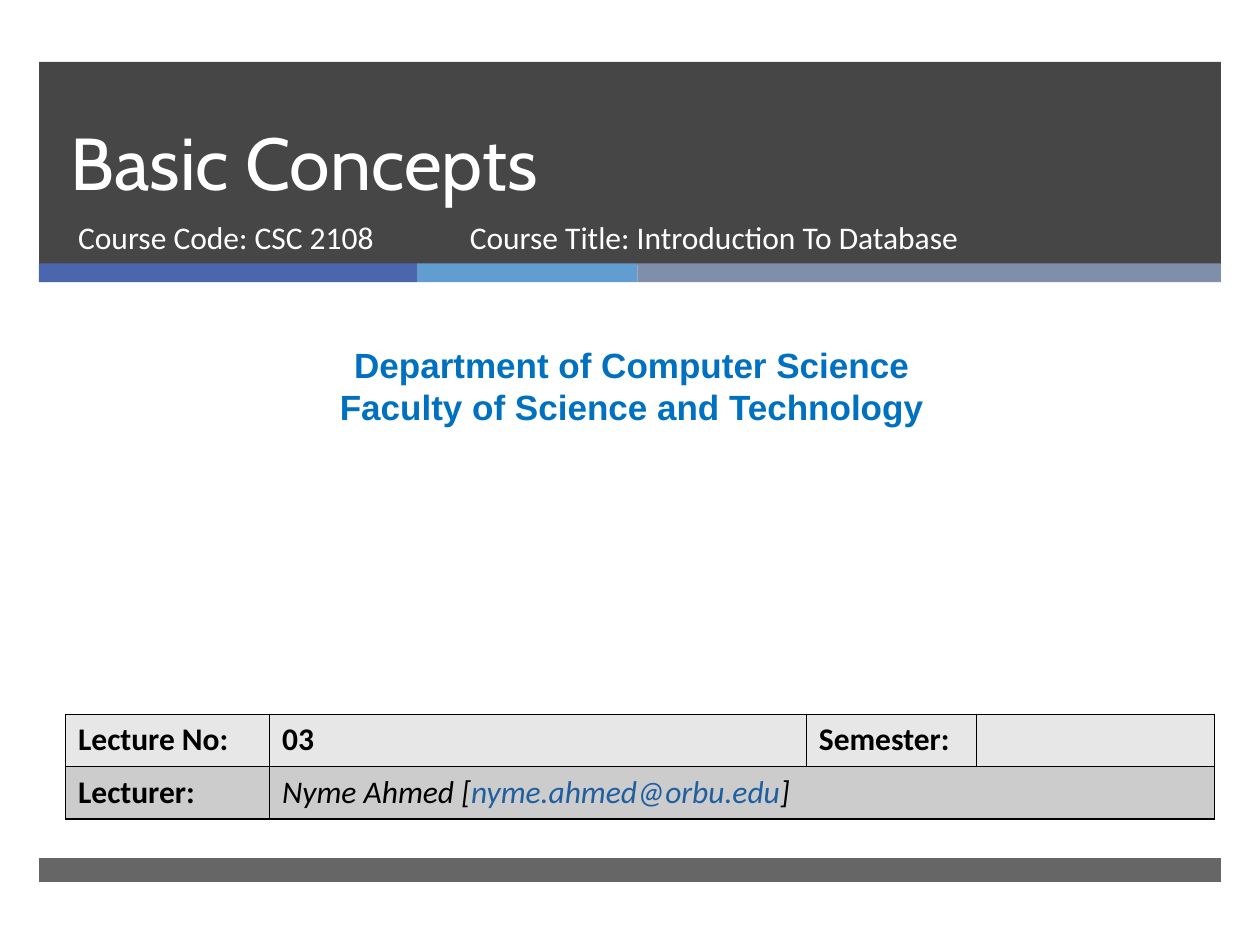
"""Build the cover slide of a database lecture."""
import lxml.etree
import pptx
import pptx.dml.color
import pptx.enum.shapes
import pptx.enum.text
import pptx.oxml.ns
import pptx.util

Inches = pptx.util.Inches
Pt = pptx.util.Pt
RGB = pptx.dml.color.RGBColor
Align = pptx.enum.text.PP_ALIGN
Anchor = pptx.enum.text.MSO_ANCHOR
qn = pptx.oxml.ns.qn

WHITE = RGB(0xFF, 0xFF, 0xFF)
BLACK = RGB(0x00, 0x00, 0x00)
DARK = RGB(0x26, 0x26, 0x26)
NAVY = RGB(0x4A, 0x66, 0xAC)
SKY = RGB(0x62, 0x9D, 0xD1)
SLATE = RGB(0x7F, 0x8F, 0xA9)
BLUE = RGB(0x00, 0x70, 0xC0)
LINK = RGB(0x1F, 0x5F, 0xA0)
PALE = RGB(0xE7, 0xE7, 0xE7)
GREY = RGB(0xCC, 0xCC, 0xCC)


def write(para, text, size=18, font="Calibri", color=WHITE, bold=False,
          italic=False, align=Align.LEFT):
    run = para.add_run()
    run.text = text
    run.font.size = Pt(size)
    run.font.name = font
    run.font.color.rgb = color
    run.font.bold = bold
    run.font.italic = italic
    para.alignment = align


class Deck:
    def __init__(self):
        self.prs = pptx.Presentation()
        self.prs.slide_width = Inches(10)
        self.prs.slide_height = Inches(7.5)
        self.slide = self.prs.slides.add_slide(self.prs.slide_layouts[0])
        self.shapes = self.slide.shapes

    def bar(self, left, top, width, height, color, alpha=100):
        kind = pptx.enum.shapes.MSO_SHAPE.RECTANGLE
        bar = self.shapes.add_shape(
            kind, Inches(left), Inches(top), Inches(width), Inches(height))
        bar.shadow.inherit = False
        bar.line.fill.background()
        bar.fill.solid()
        bar.fill.fore_color.rgb = color
        if alpha < 100:
            tint = bar.element.spPr.find(qn("a:solidFill"))[0]
            lxml.etree.SubElement(tint, qn("a:alpha"), val=str(alpha * 1000))

    def holder(self, index, text, box, anchor=Anchor.TOP, lead=None, **style):
        shape = self.slide.placeholders[index]
        shape.left, shape.top, shape.width, shape.height = map(Inches, box)
        shape.element.getparent().append(shape.element)
        frame = shape.text_frame
        frame.auto_size = pptx.enum.text.MSO_AUTO_SIZE.NONE
        frame.vertical_anchor = anchor
        para = frame.paragraphs[0]
        para.space_before = Pt(0)
        para.line_spacing = lead
        write(para, text, **style)

    def label(self, lines, box, **style):
        frame = self.shapes.add_textbox(*map(Inches, box)).text_frame
        frame.word_wrap = True
        for num, line in enumerate(lines):
            para = frame.add_paragraph() if num else frame.paragraphs[0]
            write(para, line, **style)

    def border(self, cell):
        props = cell._tc.get_or_add_tcPr()
        for spot, side in enumerate(("a:lnL", "a:lnR", "a:lnT", "a:lnB")):
            line = lxml.etree.Element(qn(side), w=str(Pt(1)))
            fill = lxml.etree.SubElement(line, qn("a:solidFill"))
            lxml.etree.SubElement(fill, qn("a:srgbClr"), val=str(BLACK))
            props.insert(spot, line)

    def table(self, box, widths, rows, fills):
        table = self.shapes.add_table(
            len(rows), len(widths), *map(Inches, box)).table
        for col, width in zip(table.columns, widths):
            col.width = Inches(width)
        for r, row in enumerate(rows):
            for c in range(len(widths)):
                cell = table.cell(r, c)
                cell.fill.solid()
                cell.fill.fore_color.rgb = fills[r]
                self.border(cell)
                for text, style in row[c] if c < len(row) else []:
                    write(cell.text_frame.paragraphs[0], text, **style)
            if len(row) < len(widths):
                table.cell(r, len(row) - 1).merge(
                    table.cell(r, len(widths) - 1))


def main():
    deck = Deck()
    deck.bar(0.31, 0.49, 9.38, 1.61, DARK, 85)
    left = 0.31
    for width, color in ((3, NAVY), (1.75, SKY), (4.63, SLATE)):
        deck.bar(left, 2.09, width, 0.15, color)
        left += width
    deck.bar(0.31, 6.81, 9.38, 0.19, DARK, 70)

    deck.holder(0, "Basic Concepts", (0.46, 0.49, 8.54, 1.19),
                anchor=Anchor.BOTTOM, lead=Pt(46), size=42, font="Cabin")
    deck.holder(1, "Course Code: CSC 2108", (0.52, 1.68, 3.05, 0.53))
    deck.label(["Department of Computer Science",
                "Faculty of Science and Technology"],
               (0.08, 2.68, 9.87, 0.77), size=20, font="Arial",
               color=BLUE, bold=True, align=Align.CENTER)
    deck.label(["Course Title: Introduction To Database"],
               (3.63, 1.68, 4.55, 0.53))

    head = {"color": BLACK, "bold": True}
    name = {"color": BLACK, "italic": True}
    mail = {"color": LINK, "italic": True}
    rows = [
        [[("Lecture No:", head)], [("03", head)], [("Semester:", head)], []],
        [[("Lecturer:", head)],
         [("Nyme Ahmed [", name), ("nyme.ahmed@orbu.edu", mail),
          ("]", name)]],
    ]
    deck.table((0.52, 5.67, 9.12, 0.83), (1.62, 4.26, 1.35, 1.89),
               rows, (PALE, GREY))
    deck.prs.save("out.pptx")


if __name__ == "__main__":
    main()
